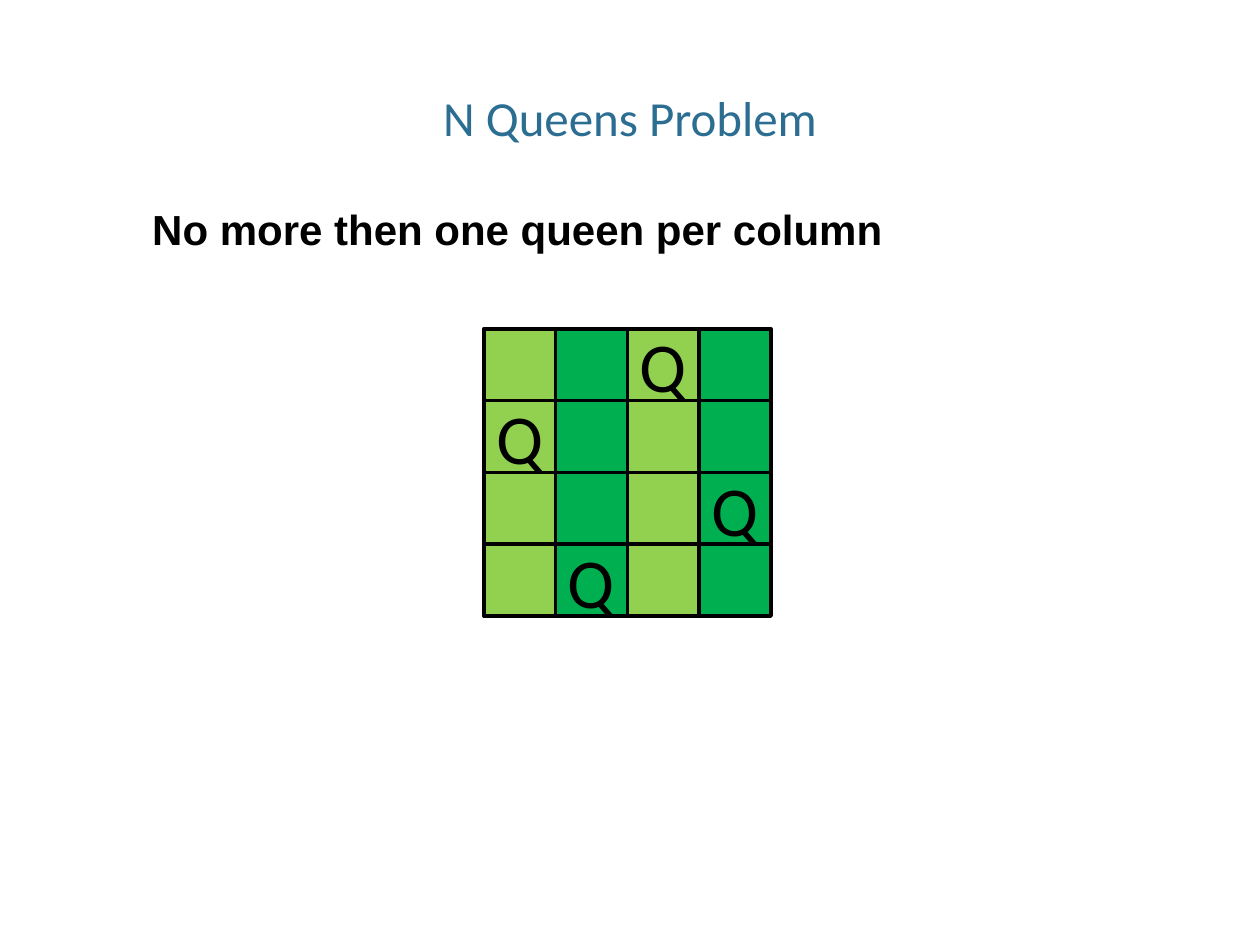
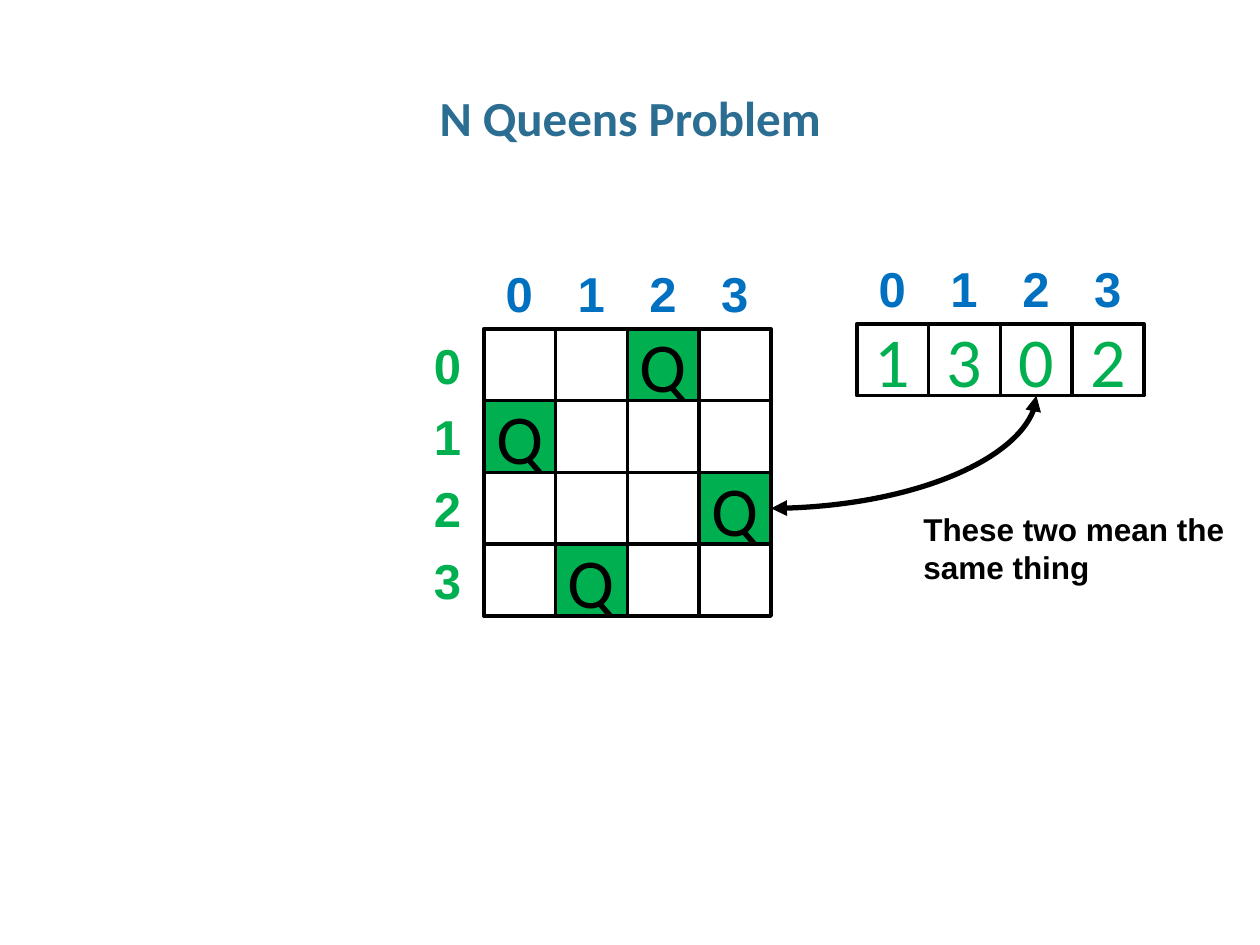
from lxml import etree
from pptx import Presentation, util as u
from pptx.dml.color import RGBColor
from pptx.enum import shapes, text
from pptx.oxml.ns import qn

BLACK = RGBColor(0x00, 0x00, 0x00)
TEAL = RGBColor(0x2C, 0x6D, 0x92)
LIME = RGBColor(0x92, 0xD0, 0x50)
GREEN = RGBColor(0x00, 0xB0, 0x50)
BLUE = RGBColor(0x00, 0x70, 0xC0)

TITLE = "N Queens Problem"
RULE = "No more then one queen per column"
NOTE = "These two mean the same thing"
QUEENS = [1, 3, 0, 2]
COUNT = len(QUEENS)
LINK = 2

WIDE, HIGH = 10, 7.5
CELL = 0.57
BOARD = (3.84, 2.61)
LIST = (6.8, 2.57)
TAG = 0.42
GAP = (CELL - TAG) / 2

FONTS = {
    "title": {"name": "Calibri", "size": u.Pt(28), "bold": False},
    "head": {"name": "Arial", "size": u.Pt(24), "bold": True},
    "tag": {"name": "Arial", "size": u.Pt(28), "bold": True},
    "note": {"name": "Arial", "size": u.Pt(18), "bold": True},
    "cell": {"name": "Calibri", "size": u.Pt(40), "bold": False},
}
CENTER = text.PP_ALIGN.CENTER


def inch(*nums):
    return [u.Inches(n) for n in nums]


def write(shape, words, kind, color=BLACK, align=None, **extra):
    para = shape.text_frame.paragraphs[0]
    para.alignment = align
    run = para.add_run()
    run.text = words
    for key, val in {**FONTS[kind], **extra}.items():
        setattr(run.font, key, val)
    run.font.color.rgb = color
    return para


def add_text(slide, place, words, kind, color=BLACK, wrap=False):
    box = slide.shapes.add_textbox(*inch(*place))
    box.text_frame.word_wrap = wrap
    box.text_frame.auto_size = text.MSO_AUTO_SIZE.SHAPE_TO_FIT_TEXT
    write(box, words, kind, color)


def add_title(slide, bold):
    box = slide.shapes.add_textbox(*inch(0.34, 0.68, 9.32, 0.5))
    frame = box.text_frame
    frame.word_wrap = True
    frame.margin_left = frame.margin_right = 0
    para = write(box, TITLE, "title", TEAL, CENTER, bold=bold)
    para.line_spacing = 0.95


def add_cell(slide, start, col, row, fill=None, words="", color=BLACK):
    left, top = start
    cell = slide.shapes.add_shape(
        shapes.MSO_SHAPE.RECTANGLE,
        *inch(left + col * CELL, top + row * CELL, CELL, CELL))
    cell.shadow.inherit = False
    if fill is None:
        cell.fill.background()
    else:
        cell.fill.solid()
        cell.fill.fore_color.rgb = fill
    cell.line.color.rgb = BLACK
    cell.line.width = u.Pt(2)
    cell.text_frame.vertical_anchor = text.MSO_ANCHOR.MIDDLE
    if words:
        write(cell, words, "cell", color, CENTER)


def add_board(slide, paint):
    for row in range(COUNT):
        for col in range(COUNT):
            queen = QUEENS[col] == row
            add_cell(slide, BOARD, col, row, paint(col, queen),
                     "Q" if queen else "")


def add_tags(slide, start):
    left, top = start
    for col in range(COUNT):
        place = (left + col * CELL + GAP, top - CELL, TAG, CELL)
        add_text(slide, place, str(col), "tag", BLUE)


def add_link(slide, start, end):
    link = slide.shapes.add_connector(
        shapes.MSO_CONNECTOR.CURVE, *inch(*start, *end))
    link.line.color.rgb = BLACK
    link.line.width = u.Pt(3)
    props = link._element.spPr
    props.find(qn("a:prstGeom")).set("prst", "curvedConnector2")
    line = props.find(qn("a:ln"))
    for tip in ("a:headEnd", "a:tailEnd"):
        etree.SubElement(line, qn(tip), type="triangle")
    etree.SubElement(props, qn("a:effectLst"))


def rule_slide(slide):
    add_title(slide, False)
    add_board(slide, lambda col, queen: GREEN if col % 2 else LIME)
    add_text(slide, (1.11, 1.57, 6.05, 0.5), RULE, "head")


def list_slide(slide):
    add_title(slide, True)
    add_board(slide, lambda col, queen: GREEN if queen else None)
    left, top = BOARD
    for row in range(COUNT):
        place = (left - TAG - GAP, top + row * CELL, TAG, CELL)
        add_text(slide, place, str(row), "tag", GREEN)
    for col, row in enumerate(QUEENS):
        add_cell(slide, LIST, col, 0, words=str(row), color=GREEN)
    for start in (BOARD, LIST):
        add_tags(slide, start)
    add_link(slide, (left + COUNT * CELL, top + (LINK + 0.5) * CELL),
             (LIST[0] + (LINK + 0.5) * CELL, LIST[1] + CELL))
    add_text(slide, (7.23, 4, 2.76, 0.71), NOTE, "note", wrap=True)


def main():
    deck = Presentation()
    deck.slide_width, deck.slide_height = inch(WIDE, HIGH)
    for build in (rule_slide, list_slide):
        build(deck.slides.add_slide(deck.slide_layouts[6]))
    deck.save("out.pptx")


if __name__ == "__main__":
    main()
